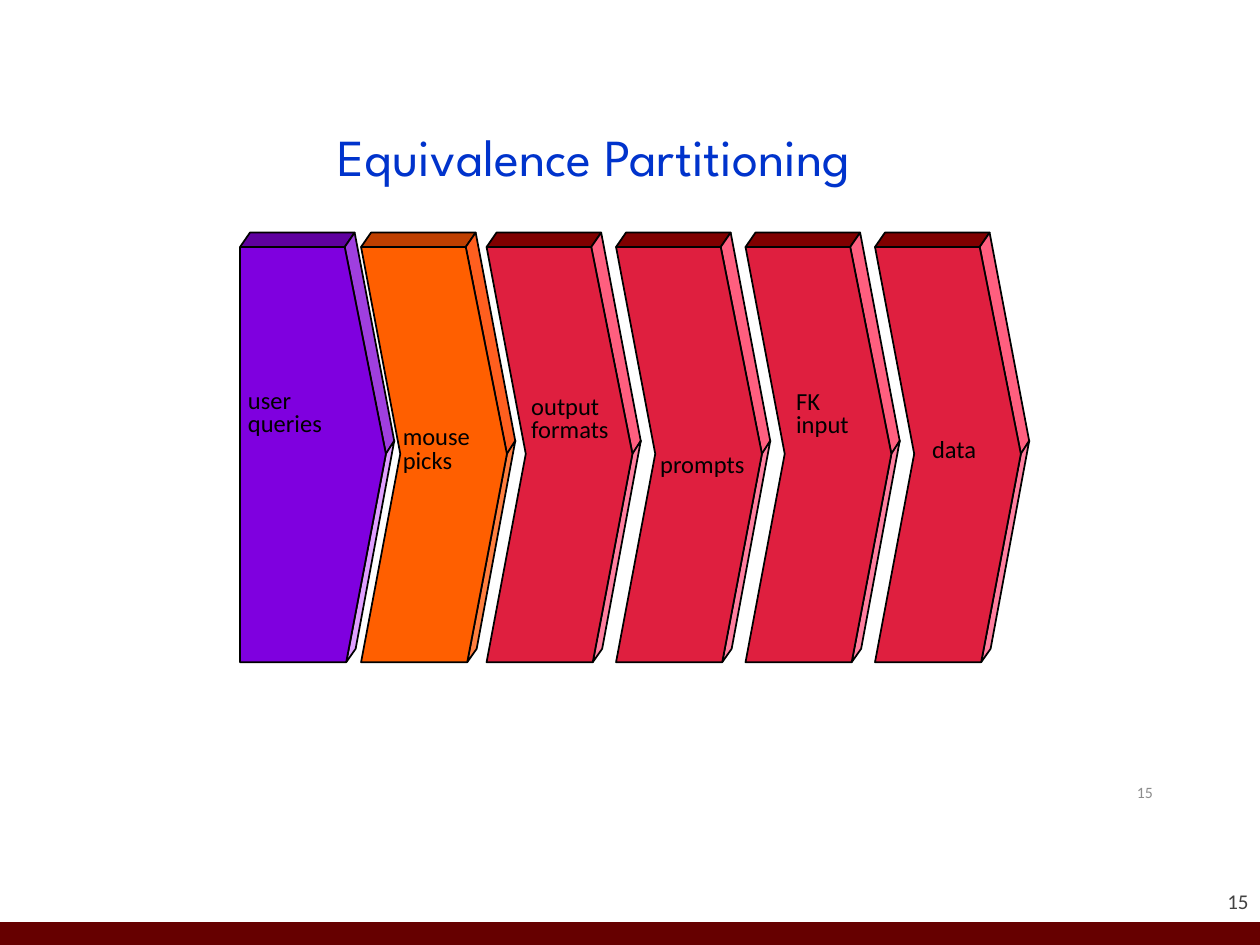
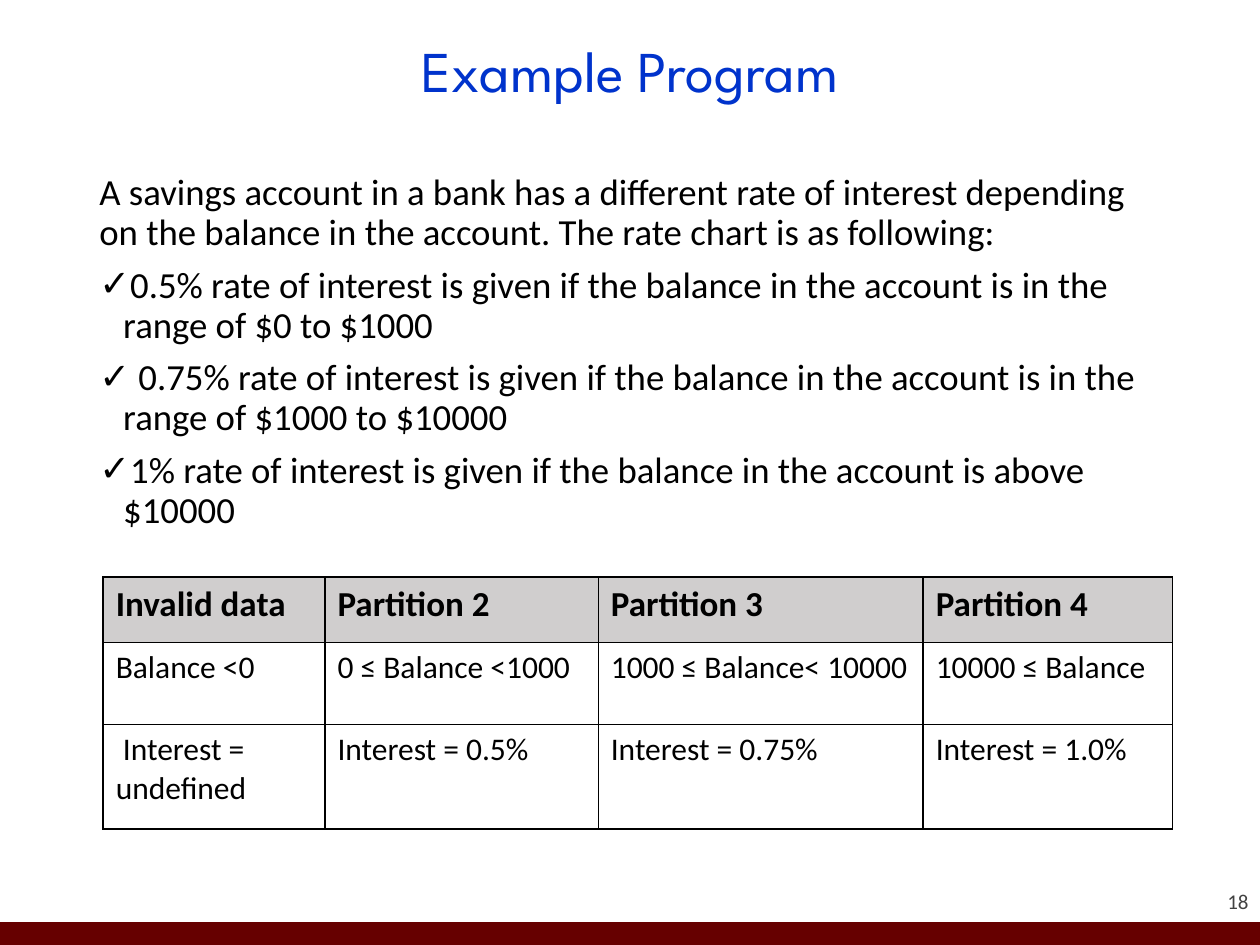
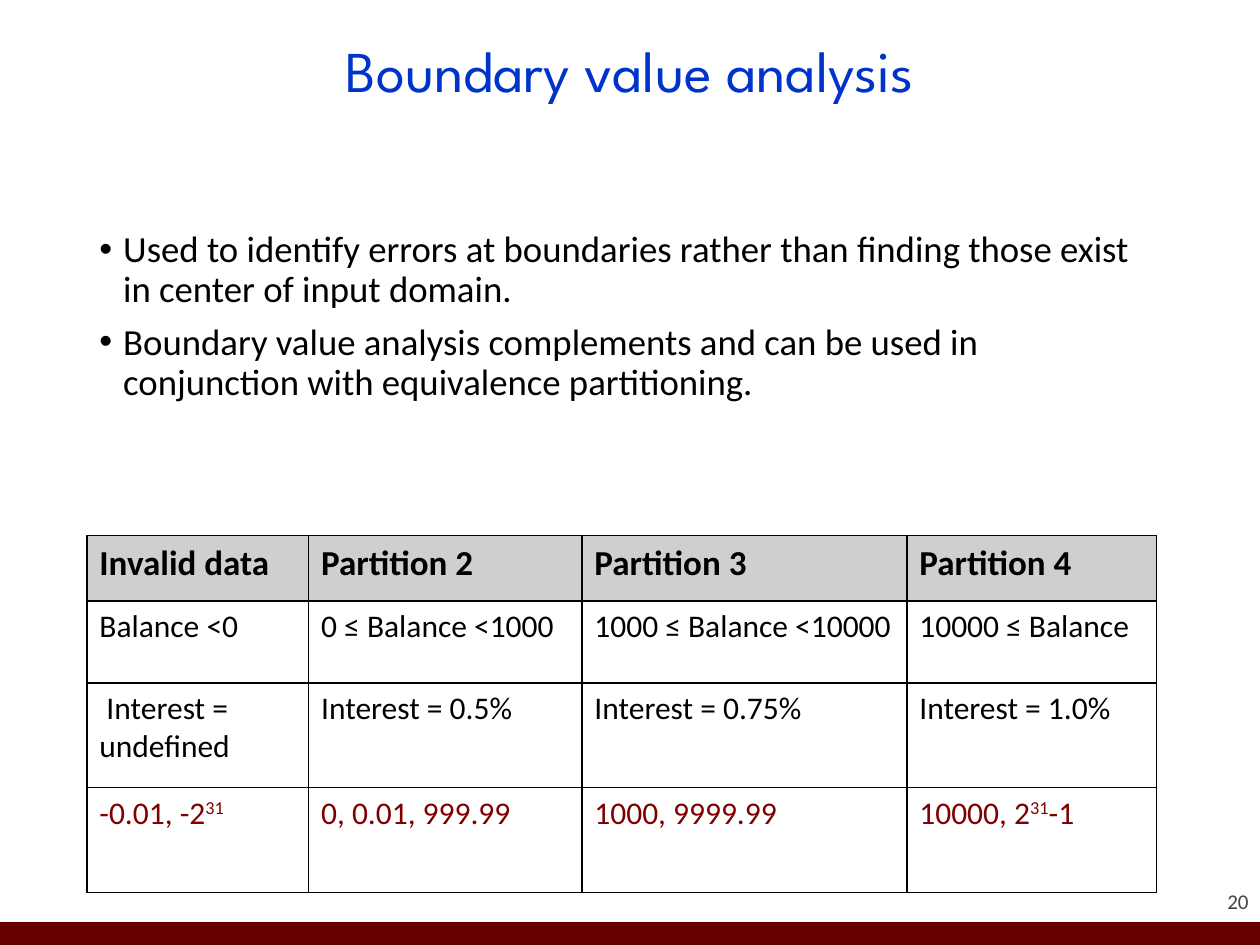
from lxml.etree import SubElement
from pptx import Presentation
from pptx.dml.color import RGBColor
from pptx.enum.shapes import MSO_SHAPE
from pptx.enum.text import MSO_ANCHOR, MSO_AUTO_SIZE, PP_ALIGN
from pptx.oxml.ns import qn
from pptx.util import Cm, Pt

BLACK, WHITE, GREY, MAROON = "000000", "FFFFFF", "D0CECE", "800000"
BODY_FONT, TITLE_FONT = "Calibri", "League Spartan"


def color(hex_value):
    return RGBColor.from_string(hex_value)


def add_text(slide, text, box, size, hex_value, align=PP_ALIGN.LEFT):
    """Add a text box; box is left, top, width, height in cm."""
    frame = slide.shapes.add_textbox(*[Cm(v) for v in box]).text_frame
    frame.text = text
    for paragraph in frame.paragraphs:
        paragraph.alignment = align
        paragraph.font.name = BODY_FONT
        paragraph.font.size = Pt(size)
        paragraph.font.color.rgb = color(hex_value)
    return frame


prs = Presentation()
prs.slide_width, prs.slide_height = Cm(25.4), Cm(19.05)
TITLE_ONLY, TITLE_AND_BODY = prs.slide_layouts[5], prs.slide_layouts[1]

# Slides with their titles and page numbers
wide_title = (1.75, 0.3, 21.9, 2.39)
pages = [
    ("Equivalence Partitioning", 15, TITLE_ONLY, (2.03, 2.51, 19.91, 1.42), 29.7),
    ("Example Program", 18, TITLE_AND_BODY, wide_title, 33),
    ("Boundary value analysis", 20, TITLE_AND_BODY, wide_title, 33),
]
for heading, number, layout, box, size in pages:
    slide = prs.slides.add_slide(layout)
    title = slide.shapes.title
    title.left, title.top, title.width, title.height = [Cm(v) for v in box]
    frame = title.text_frame
    frame.text = heading
    frame.auto_size = MSO_AUTO_SIZE.NONE
    frame.vertical_anchor = MSO_ANCHOR.MIDDLE
    paragraph = frame.paragraphs[0]
    paragraph.alignment = PP_ALIGN.CENTER
    paragraph.line_spacing = 0.9
    paragraph.font.name = TITLE_FONT
    paragraph.font.size = Pt(size)
    paragraph.font.color.rgb = color("0033CC")

    frame = add_text(slide, str(number), (23.06, 17.4, 2.11, 1.02), 12, "424242", PP_ALIGN.RIGHT)
    frame.margin_left = frame.margin_right = frame.margin_top = frame.margin_bottom = 0
    frame.vertical_anchor = MSO_ANCHOR.BOTTOM
    frame.word_wrap = True
    frame.paragraphs[0].space_before = Pt(5)

partitioning, example, boundary = prs.slides

# Bottom band, moved to the master so that every slide shows it
band = partitioning.shapes.add_shape(MSO_SHAPE.RECTANGLE, 0, Cm(18.59), Cm(25.4), Cm(0.46))
band.shadow.inherit = False
band.fill.solid()
band.fill.fore_color.rgb = color("660000")
band.line.fill.background()
band.element.nvSpPr.cNvPr.set("id", "20")
prs.slide_master.shapes.element.append(band.element)

# Slide 1: row of solid arrows, points in hundredths of a cm from each top left
top_face = [(211, 29), (0, 29), (20, 0), (231, 0)]
upper_side = [(231, 0), (211, 29), (294, 446), (311, 421)]
lower_side = [(311, 419), (294, 446), (214, 866), (233, 839)]
front = [(211, 29), (0, 29), (79, 446), (0, 866), (214, 866), (294, 446)]
flat_front = [point for point in front if point != (79, 446)]

purple = ["5F009F", "9F3FDF", "DF9FFF", "7F00DF"]
orange = ["BF3F00", "FF5F1F", "FF7F3F", "FF5F00"]
red = [MAROON, "FF5F7F", "FF7F9F", "DF1F3F"]
arrows = [(4.84, purple, flat_front), (7.28, orange, front)]
arrows += [(9.81 + 2.61 * step, red, front) for step in range(4)]

for left, shades, front_face in arrows:
    for points, shade in zip([top_face, upper_side, lower_side, front_face], shades):
        builder = partitioning.shapes.build_freeform(*points[0], scale=Cm(0.01))
        builder.add_line_segments(points[1:], close=True)
        face = builder.convert_to_shape(Cm(left), Cm(4.69))
        face.shadow.inherit = False
        face.fill.solid()
        face.fill.fore_color.rgb = color(shade)
        face.line.color.rgb = color(BLACK)
        face.line.width = Pt(1)

# Slide 1: names of the input classes
input_classes = [
    ("user\nqueries", (4.75, 7.75, 2.26, 1.19)),
    ("mouse\npicks", (7.87, 8.48, 2.08, 1.19)),
    ("output\nformats", (10.46, 7.87, 2.31, 1.19)),
    ("prompts", (13.06, 9.04, 2.49, 0.71)),
    ("FK\ninput", (15.8, 7.77, 1.7, 1.19)),
    ("data", (18.54, 8.74, 1.52, 0.71)),
]
for name, box in input_classes:
    frame = add_text(partitioning, name, box, 14, BLACK)
    frame.word_wrap = False
    frame.auto_size = MSO_AUTO_SIZE.SHAPE_TO_FIT_TEXT
    for paragraph in frame.paragraphs:
        paragraph.line_spacing = 0.8

inner_number = add_text(partitioning, "15", (18.21, 15.42, 5.28, 1.12), 9, "8C8C8C", PP_ALIGN.RIGHT)
inner_number.vertical_anchor = MSO_ANCHOR.MIDDLE
inner_number.word_wrap = True

# Slides 2 and 3: body text as (bullet, text), with the inset above it
bodies = [
    (example, 0.13, [
        (None, "A savings account in a bank has a different rate of interest depending "
               "on the balance in the account. The rate chart is as following:"),
        ("✓", "0.5% rate of interest is given if the balance in the account is in the "
              "range of $0 to $1000"),
        ("✓", " 0.75% rate of interest is given if the balance in the account is in the "
              "range of $1000 to $10000"),
        ("✓", "1% rate of interest is given if the balance in the account is above $10000"),
    ]),
    (boundary, 1.28, [
        ("•", "Used to identify errors at boundaries rather than finding those exist "
              "in center of input domain."),
        ("•", "Boundary value analysis complements and can be used in conjunction with "
              "equivalence partitioning."),
    ]),
]
for slide, inset, lines in bodies:
    body = slide.placeholders[1]
    body.left, body.top, body.width, body.height = Cm(1.75), Cm(3.38), Cm(21.9), Cm(13.77)
    frame = body.text_frame
    frame.text = "\n".join(text for bullet, text in lines)
    frame.auto_size = MSO_AUTO_SIZE.NONE
    frame.margin_top = Cm(inset)
    for paragraph, (bullet, text) in zip(frame.paragraphs, lines):
        paragraph.line_spacing = 0.9
        paragraph.space_before = Pt(7.5)
        indent = Cm(0.48) if bullet else 0
        properties = paragraph._p.get_or_add_pPr()
        properties.set("marL", str(indent))
        properties.set("indent", str(-indent))
        if bullet:
            SubElement(properties, qn("a:buChar")).set("char", bullet)
        else:
            SubElement(properties, qn("a:buNone"))
        paragraph.font.name = BODY_FONT
        paragraph.font.size = Pt(21)
        paragraph.font.color.rgb = color(BLACK)

# Slides 2 and 3: partition tables; text between ^ marks is superscript
header = ["Invalid data", "Partition 2", "Partition 3", "Partition 4"]
interest = [" Interest = undefined", "Interest = 0.5%", "Interest = 0.75%", "Interest = 1.0%"]
limits = ["-0.01, -2^31^", "0, 0.01, 999.99", "1000, 9999.99", "10000, 2^31^-1"]
ranges = ["Balance <0", "0 ≤ Balance <1000", "1000 ≤ Balance <10000", "10000 ≤ Balance"]
example_ranges = ranges[:2] + ["1000 ≤ Balance< 10000"] + ranges[3:]
column_widths = [4.47, 5.51, 6.55, 5.03]
row_heights = [1.32, 1.65, 2.11, 2.11]
tables = [
    (example, 2.08, 11.63, [header, example_ranges, interest]),
    (boundary, 1.75, 10.8, [header, ranges, interest, limits]),
]
for slide, left, top, rows in tables:
    heights = row_heights[:len(rows)]
    table = slide.shapes.add_table(len(rows), len(header), Cm(left), Cm(top),
                                   Cm(sum(column_widths)), Cm(sum(heights))).table
    for column, width in zip(table.columns, column_widths):
        column.width = Cm(width)
    for row, height, texts in zip(table.rows, heights, rows):
        row.height = Cm(height)
        is_header = texts is header
        for cell, text in zip(row.cells, texts):
            paragraph = cell.text_frame.paragraphs[0]
            for position, part in enumerate(text.split("^")):
                if part:
                    run = paragraph.add_run()
                    run.text = part
                    if position % 2:
                        run._r.get_or_add_rPr().set("baseline", "30000")
            paragraph.font.name = BODY_FONT
            paragraph.font.size = Pt(20 if is_header else 18)
            paragraph.font.bold = is_header
            paragraph.font.color.rgb = color(MAROON if texts is limits else BLACK)
            for side in ("a:lnL", "a:lnR", "a:lnT", "a:lnB"):
                border = SubElement(cell._tc.get_or_add_tcPr(), qn(side), w=str(Pt(1)))
                border_fill = SubElement(border, qn("a:solidFill"))
                SubElement(border_fill, qn("a:srgbClr"), val=BLACK)
            cell.fill.solid()
            cell.fill.fore_color.rgb = color(GREY if is_header else WHITE)

prs.save("out.pptx")
